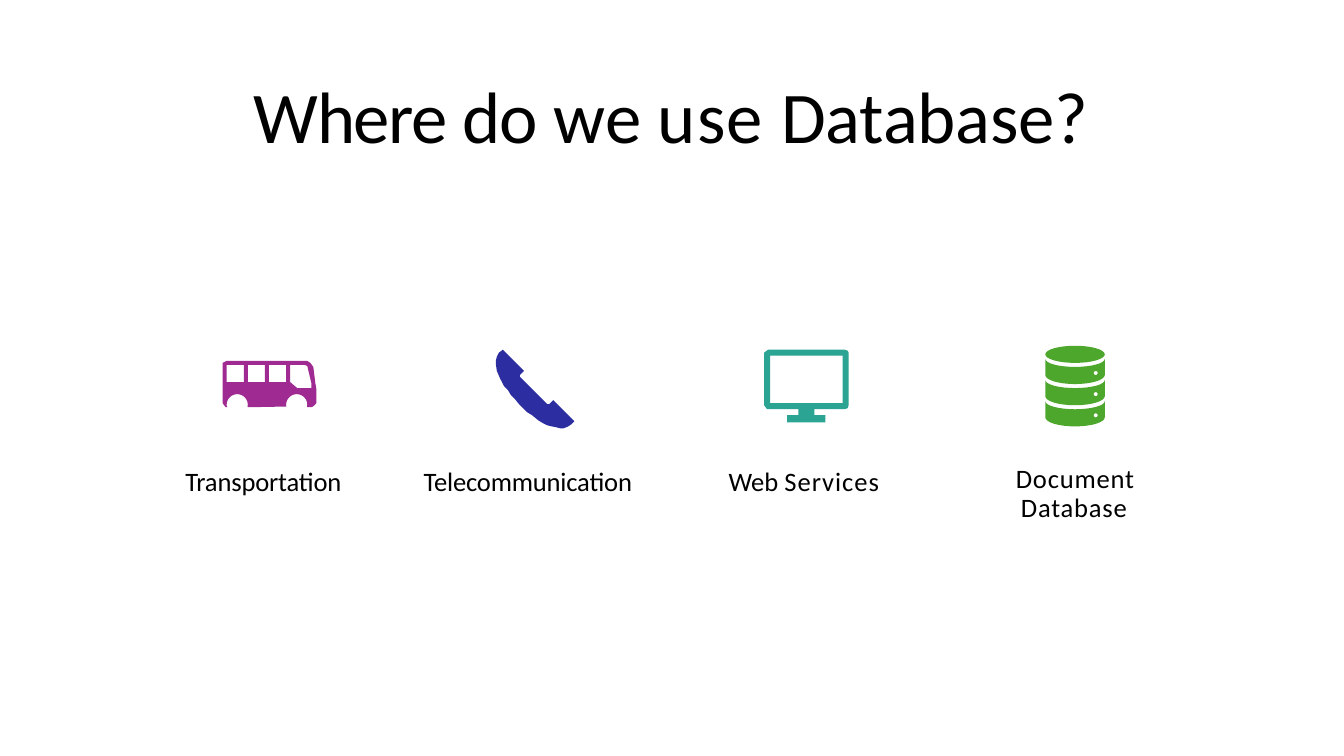
from dataclasses import dataclass
from math import cos, radians, sin
from pptx import Presentation as Deck
from pptx.dml.color import RGBColor as Rgb
from pptx.util import Pt


@dataclass(frozen=True)
class Theme:
    font: str = "Calibri"
    ink: str = "000000"
    bus: str = "9F2B92"
    phone: str = "2C2DA1"
    screen: str = "2CA493"
    store: str = "4EA72D"
    title: float = 52
    label: float = 19


THEME = Theme()
UNIT = 0.72


def rect(x, y, w, h):
    return [(x, y), (x + w, y), (x + w, y + h), (x, y + h)]


def arc(x, y, rx, ry, start, end, steps=16):
    turns = [radians(start + (end - start) * i / steps) for i in range(steps + 1)]
    return [(x + rx * cos(t), y + ry * sin(t)) for t in turns]


def draw(slide, left, top, loops, color):
    pen = None
    for loop in loops:
        dots = [(Pt(x * UNIT), Pt(y * UNIT)) for x, y in loop]
        if pen is None:
            pen = slide.shapes.build_freeform(*dots[0])
        else:
            pen.move_to(*dots[0])
        pen.add_line_segments(dots[1:], close=True)
    shape = pen.convert_to_shape(Pt(left), Pt(top))
    shape.shadow.inherit = False
    shape.fill.solid()
    shape.fill.fore_color.rgb = Rgb.from_string(color)
    shape.line.fill.background()


def write(slide, box, inset, parts, size):
    frame = slide.shapes.add_textbox(*map(Pt, box)).text_frame
    frame.word_wrap = True
    frame.margin_left, frame.margin_top = map(Pt, inset)
    frame.margin_right = frame.margin_bottom = 0
    para = frame.paragraphs[0]
    for text, gap in parts:
        run = para.add_run()
        run.text = text
        run.font.name = THEME.font
        run.font.size = Pt(size)
        run.font.color.rgb = Rgb.from_string(THEME.ink)
        run.font._element.set("spc", str(round(gap * 100)))
    return para


def bus(slide, left, top):
    body = [(81, 0), (4, 0), (0, 2), (0, 42), (3, 46), (5, 46)]
    for x in (14.5, 73.5):
        body += arc(x, 43.5, 10.5, 10.5, 170, 370)
        body.append((x + 10.5, 46))
    body += [(88, 46), (90, 45), (93, 42), (93, 28), (92, 22), (90, 6), (87, 2), (84, 0)]
    panes = [rect(4 + 21 * i, 4, 17, 17) for i in range(3)]
    front = [(67, 4), (81, 4), (84, 5), (88, 22), (88, 27), (74, 27), (67, 21)]
    draw(slide, left, top, [body, *panes, front], THEME.bus)


def phone(slide, left, top):
    outer = [(7, 0), (3, 3), (1, 7), (0, 11), (0, 14), (1, 21), (4, 28), (8, 36),
             (12, 40), (15, 45), (19, 49), (23, 54), (27, 58), (31, 62), (36, 65),
             (42, 70), (47, 73), (51, 75), (55, 76), (60, 77), (64, 78), (67, 78),
             (70, 77), (72, 76), (75, 74), (78, 71)]
    inner = [(57, 50), (54, 53), (53, 54), (51, 54), (24, 27), (24, 25), (28, 21)]
    draw(slide, left, top, [outer + inner], THEME.phone)


def screen(slide, left, top):
    frame = [(80, 0), (4, 0), (0, 3), (0, 55), (3, 59), (80, 59),
             (83, 58), (84, 55), (84, 3), (83, 1)]
    pane = rect(6, 6, 72, 47)
    neck = rect(34, 59, 16, 6)
    base = rect(23, 65, 38, 7)
    draw(slide, left, top, [frame, pane, neck, base], THEME.screen)


def store(slide, left, top):
    loops = [arc(29.5, 8.5, 29.5, 8.5, 0, 360, 32)]
    for i in range(3):
        y = 13 + 21 * i
        loops.append(arc(29.5, y, 29.5, 8, 0, 180) + arc(29.5, y + 16, 29.5, 9, 180, 0))
        loops.append(arc(50, y + 14, 2, 2, 0, 360))
    draw(slide, left, top, loops, THEME.store)


def head(slide, box):
    parts = [("Where ", -1.1), ("do ", -0.5), ("we ", 0), ("use ", 0.7), ("Database?", -0.1)]
    write(slide, box, (109.4, 23.8), parts, THEME.title)


def column(slide, mid, top, icon, shift, label, wide):
    icon(slide, mid + shift[0], top + shift[1])
    box = (mid - wide / 2, top + 84.2, wide, 24.5)
    return write(slide, box, (0.7, 0.9), label, THEME.label)


def uses(slide, box):
    left, top, wide, high = box
    items = [
        (bus, (-33.1, 10.8), [("Transportation", -0.1)], 121),
        (phone, (-29.9, 2.8), [("Telecommunication", -0.1)], 164.2),
        (screen, (-30.2, 2.8), [("Web ", 0), ("Services", 0.7)], 112.3),
        (store, (-21.2, 0), [("Document Database", 0.6)], 88.6),
    ]
    step = wide / len(items)
    for i, item in enumerate(items):
        para = column(slide, left + step * (i + 0.5), top, *item)
    para.line_spacing = Pt(20.8)
    form = para._p.get_or_add_pPr()
    form.set("marL", str(Pt(5)))
    form.set("indent", str(Pt(-3.6)))


def main():
    deck = Deck()
    deck.slide_width, deck.slide_height = Pt(960), Pt(540)
    slide = deck.slides.add_slide(deck.slide_layouts[6])
    head(slide, (72, 26.6, 728, 98))
    uses(slide, (96.2, 247, 767.6, 130))
    deck.save("out.pptx")


if __name__ == "__main__":
    main()
